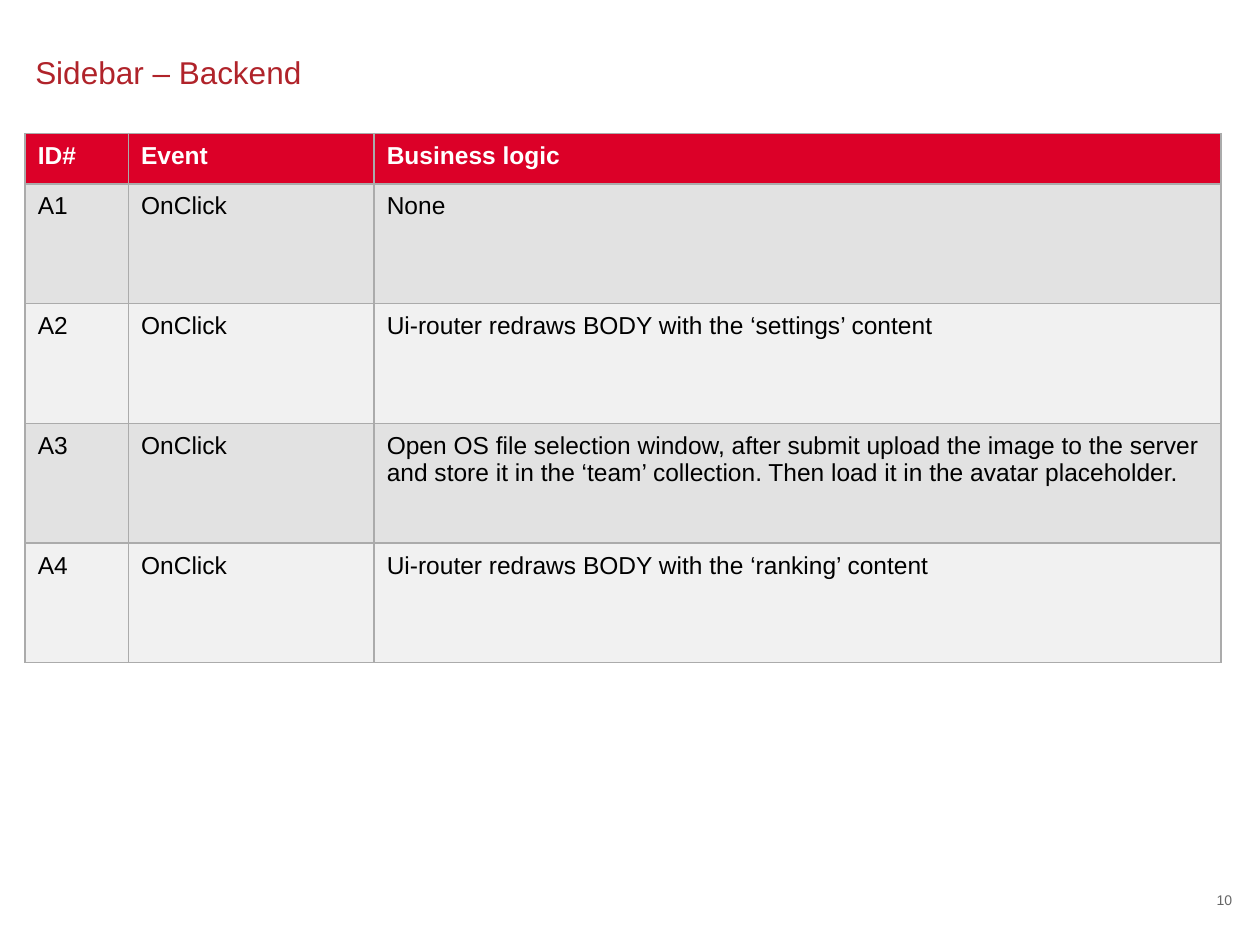
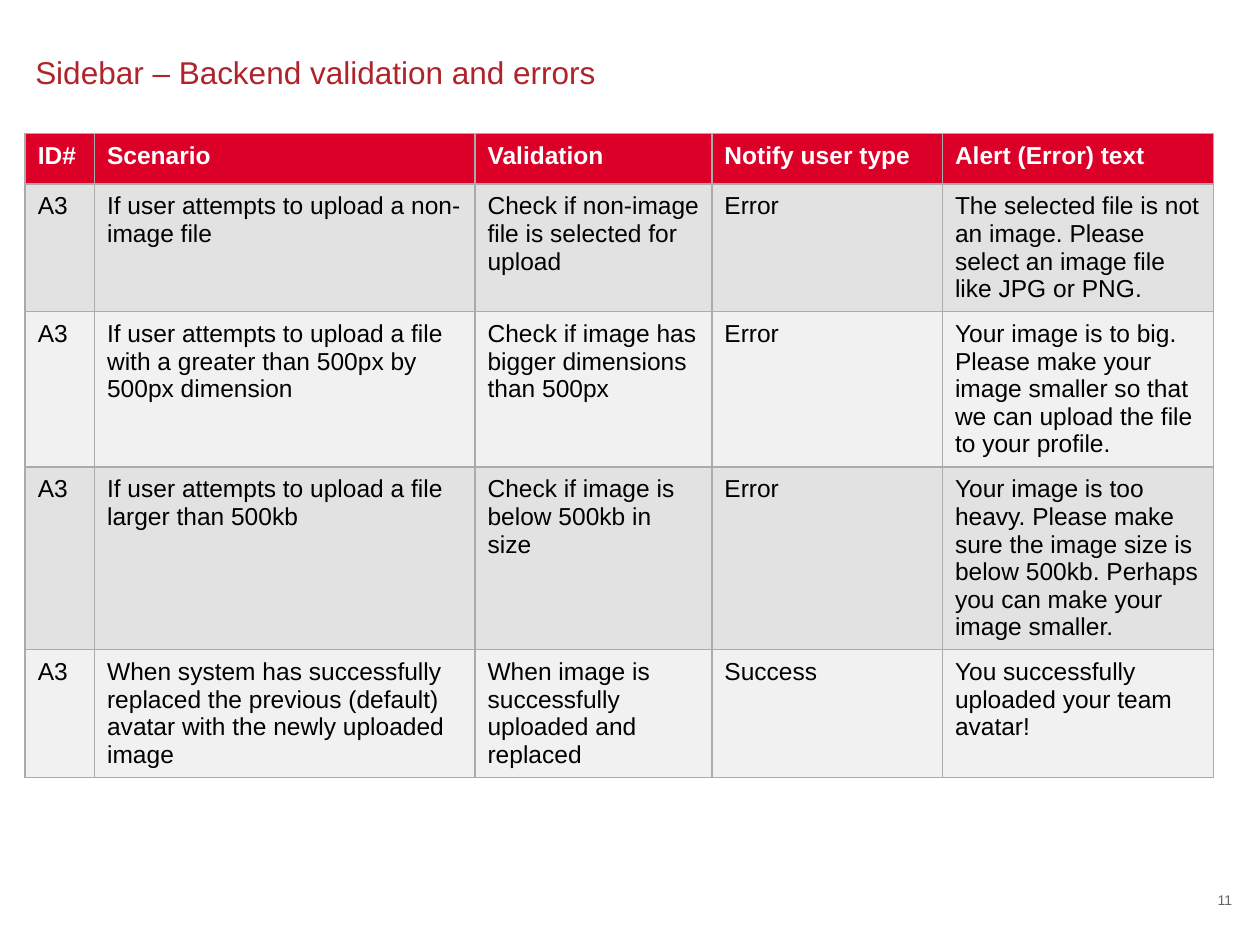
from dataclasses import dataclass

import lxml.etree
import pptx
import pptx.dml.color
import pptx.enum.text
import pptx.oxml.ns
import pptx.util
from pptx.util import Inches

FONT = "Arial"
COLOURS = {
    "title": "B0232A",
    "header": "DC0028",
    "header_text": "FFFFFF",
    "body_text": "000000",
    "odd_row": "E2E2E2",
    "even_row": "F1F1F1",
    "border": "ABABAB",
    "page_number": "666666",
}
TABLE_LEFT, TABLE_TOP = 0.2, 1.06
BORDER_WIDTH = pptx.util.Pt(1)


@dataclass(frozen=True)
class BackendPage:
    title: str
    number: int
    column_widths: tuple[float, ...]
    row_heights: tuple[float, ...]
    rows: tuple[tuple[str, ...], ...]


PAGES = (
    BackendPage(
        title="Sidebar – Backend",
        number=10,
        column_widths=(0.82, 1.95, 6.72),
        row_heights=(0.4, 0.95, 0.95, 0.95, 0.95),
        rows=(
            ("ID#", "Event", "Business logic"),
            ("A1", "OnClick", "None"),
            ("A2", "OnClick", "Ui-router redraws BODY with the ‘settings’ content"),
            ("A3", "OnClick",
             "Open OS file selection window, after submit upload the image to the server "
             "and store it in the ‘team’ collection. Then load it in the avatar placeholder."),
            ("A4", "OnClick", "Ui-router redraws BODY with the ‘ranking’ content"),
        ),
    ),
    BackendPage(
        title="Sidebar – Backend validation and errors",
        number=11,
        column_widths=(0.55, 3.02, 1.88, 1.83, 2.15),
        row_heights=(0.4, 0.95, 1.07, 1.3, 0.95),
        rows=(
            ("ID#", "Scenario", "Validation", "Notify user type", "Alert (Error) text"),
            ("A3", "If user attempts to upload a non-image file",
             "Check if non-image file is selected for upload", "Error",
             "The selected file is not an image. Please select an image file like JPG or PNG."),
            ("A3", "If user attempts to upload a file with a greater than 500px by 500px dimension",
             "Check if image has bigger dimensions than 500px", "Error",
             "Your image is to big. Please make your image smaller so that we can upload "
             "the file to your profile."),
            ("A3", "If user attempts to upload a file larger than 500kb",
             "Check if image is below 500kb in size", "Error",
             "Your image is too heavy. Please make sure the image size is below 500kb. "
             "Perhaps you can make your image smaller."),
            ("A3", "When system has successfully replaced the previous (default) avatar "
             "with the newly uploaded image",
             "When image is successfully uploaded and replaced", "Success",
             "You successfully uploaded your team avatar!"),
        ),
    ),
)


def rgb(name: str) -> pptx.dml.color.RGBColor:
    return pptx.dml.color.RGBColor.from_string(COLOURS[name])


def format_text(text_frame, size: float, colour: str, bold: bool = False) -> None:
    for paragraph in text_frame.paragraphs:
        for run in paragraph.runs:
            run.font.name = FONT
            run.font.size = pptx.util.Pt(size)
            run.font.bold = bold
            run.font.color.rgb = rgb(colour)


def place_line(shape, left: float, top: float, width: float, height: float,
               text: str, align, size: float, colour: str) -> None:
    """Position a shape and fill it with one middle-anchored line without margins."""
    shape.left, shape.top = Inches(left), Inches(top)
    shape.width, shape.height = Inches(width), Inches(height)
    frame = shape.text_frame
    frame.margin_left = frame.margin_right = frame.margin_top = frame.margin_bottom = 0
    frame.word_wrap = True
    frame.auto_size = pptx.enum.text.MSO_AUTO_SIZE.NONE
    frame.vertical_anchor = pptx.enum.text.MSO_ANCHOR.MIDDLE
    frame.text = text
    frame.paragraphs[0].alignment = align
    format_text(frame, size, colour)


def add_cell_borders(cell) -> None:
    """Outline a cell; the border elements must precede its fill."""
    properties = cell._tc.get_or_add_tcPr()
    qn = pptx.oxml.ns.qn
    for side in ("a:lnL", "a:lnR", "a:lnT", "a:lnB"):
        line = lxml.etree.SubElement(properties, qn(side), w=str(BORDER_WIDTH))
        fill = lxml.etree.SubElement(line, qn("a:solidFill"))
        lxml.etree.SubElement(fill, qn("a:srgbClr"), val=COLOURS["border"])


def format_cell(cell, text: str, row_index: int) -> None:
    is_header = row_index == 0
    cell.margin_left = cell.margin_right = Inches(0.1)
    cell.margin_top = cell.margin_bottom = Inches(0.07)
    add_cell_borders(cell)
    cell.fill.solid()
    band = "odd_row" if row_index % 2 else "even_row"
    cell.fill.fore_color.rgb = rgb("header" if is_header else band)
    cell.text_frame.text = text
    format_text(cell.text_frame, 14, "header_text" if is_header else "body_text", is_header)


def add_backend_table(slide, page: BackendPage) -> None:
    table = slide.shapes.add_table(
        len(page.rows), len(page.column_widths),
        Inches(TABLE_LEFT), Inches(TABLE_TOP),
        Inches(sum(page.column_widths)), Inches(sum(page.row_heights)),
    ).table
    for column, width in zip(table.columns, page.column_widths):
        column.width = Inches(width)
    for row, height in zip(table.rows, page.row_heights):
        row.height = Inches(height)
    for row_index, texts in enumerate(page.rows):
        for column_index, text in enumerate(texts):
            format_cell(table.cell(row_index, column_index), text, row_index)


def add_page(presentation, page: BackendPage) -> None:
    slide = presentation.slides.add_slide(presentation.slide_layouts.get_by_name("Title Only"))
    align = pptx.enum.text.PP_ALIGN
    place_line(slide.shapes.title, 0.28, 0.3, 9.37, 0.54,
               page.title, align.LEFT, 18, "title")
    add_backend_table(slide, page)
    page_number = slide.shapes.add_textbox(0, 0, 0, 0)
    place_line(page_number, 9.43, 7.06, 0.35, 0.16,
               str(page.number), align.RIGHT, 8, "page_number")


def main() -> None:
    presentation = pptx.Presentation()
    presentation.slide_width, presentation.slide_height = Inches(10), Inches(7.5)
    for page in PAGES:
        add_page(presentation, page)
    presentation.save("out.pptx")


if __name__ == "__main__":
    main()
